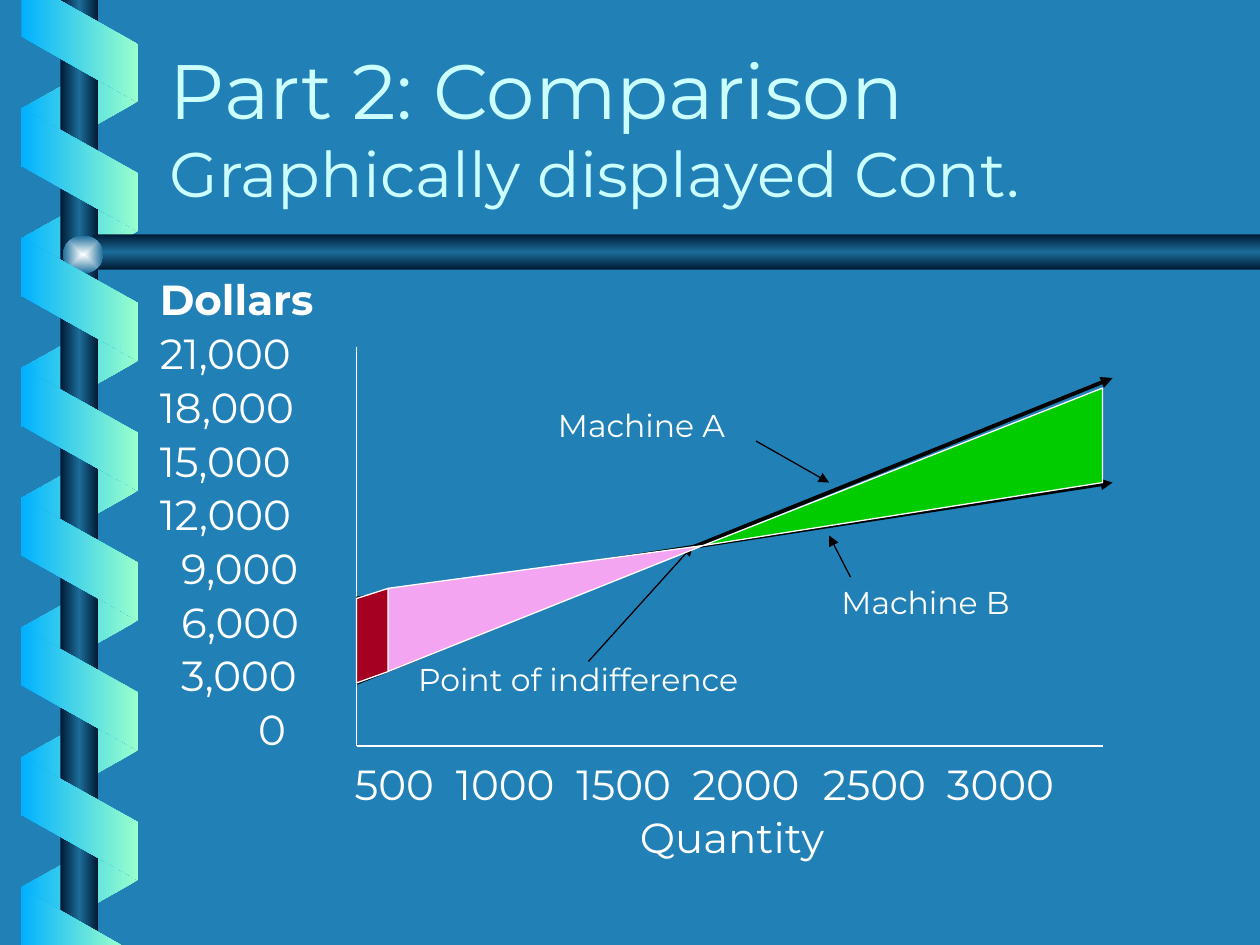
import pptx
import pptx.dml.color
import pptx.enum.shapes
import pptx.enum.text
import pptx.oxml
import pptx.oxml.ns
import pptx.util
from pptx.util import Inches

SHAPES = pptx.enum.shapes.MSO_SHAPE
ALIGN = pptx.enum.text.PP_ALIGN


class Theme:
    """Colours, font and type sizes of the slide."""
    font = "Montserrat"
    background, title, text, arrow = "2181B7", "CCFFFF", "FFFFFF", "000000"
    ribbon = [(0, "01B0FF"), (100, "99FFCC")]
    bar = [(0, "001932"), (50, "1C6D9A"), (100, "001932")]
    knob = [(0, "FEFFFF"), (100, "1C6D9A")]
    title_size, subtitle_size, body_size, label_size = 44, 36, 24, 18
    thin, thick = 0.75, 2.25


TITLE = ("Part 2: Comparison", "Graphically displayed Cont.")
# Text and left indent
DOLLAR_ROWS = [("Dollars", 0), ("21,000", 0), ("18,000", 0), ("15,000", 0),
               ("12,000", 0), ("9,000", 0.17), ("6,000", 0.17),
               ("3,000", 0.17), ("0", 0.78)]
# Text, centre and top
QUANTITY_LABELS = [("500", 3.13, 5.97), ("1000", 4.01, 5.97), ("1500", 4.95, 5.97),
                   ("2000", 5.92, 5.97), ("2500", 6.94, 5.97), ("3000", 7.94, 5.97),
                   ("Quantity", 5.81, 6.39)]
# Text, left, top and width
NOTES = [("Machine A", 4.33, 3.17, 2.25), ("Machine B", 6.58, 4.58, 2.25),
         ("Point of indifference", 3.22, 5.19, 3)]
AXES = [((2.83, 2.75), (2.83, 5.92)), ((2.83, 5.5), (2.83, 4.75)),
        ((2.83, 5.92), (8.75, 5.92))]
MACHINE_LINES = [((2.83, 5.42), (8.83, 3)), ((2.83, 4.75), (8.83, 3.83))]
POINTERS = [((6, 3.5), (6.58, 3.83)), ((6.75, 4.58), (6.58, 4.25)),
            ((4.67, 5.25), (5.5, 4.33))]
AREAS = [
    ("00CC00", [(5.58, 4.33), (8.75, 3.08), (8.75, 3.83)]),
    ("F3A5F1", [(3.08, 5.33), (3.08, 4.67), (5.58, 4.33)]),
    ("A50021", [(3.08, 4.67), (2.83, 4.75), (2.83, 5.42), (3.08, 5.33)]),
]
RIBBON_ENDS = [
    [(0.17, 0), (0.17, 0.29), (1.09, 0.81), (1.09, 0.35), (0.47, 0)],
    [(0.96, 7.5), (0.17, 7.05), (0.17, 7.5)],
]
RIBBON_STEP = 1.03


def color(value):
    """Return an RGB colour from its hex text."""
    return pptx.dml.color.RGBColor.from_string(value)


def element(xml):
    """Parse one DrawingML element."""
    return pptx.oxml.parse_xml(
        xml.replace(" ", f' {pptx.oxml.ns.nsdecls("a")} ', 1))


def fill_gradient(shape, stops, angle=0, centered=False):
    """Give a shape a borderless gradient fill."""
    shape.shadow.inherit = False
    shape.line.fill.background()
    shape.fill.background()
    stop_xml = "".join(f'<a:gs pos="{pos * 1000}"><a:srgbClr val="{value}"/></a:gs>'
                       for pos, value in stops)
    direction = f'<a:lin ang="{angle * 60000}" scaled="1"/>'
    if centered:
        direction = ('<a:path path="shape"><a:fillToRect l="50000" t="50000" '
                     'r="50000" b="50000"/></a:path>')
    gradient = element(f'<a:gradFill rotWithShape="0"><a:gsLst>{stop_xml}</a:gsLst>'
                       f'{direction}</a:gradFill>')
    properties = shape._element.spPr
    properties.replace(properties.find(pptx.oxml.ns.qn("a:noFill")), gradient)


def add_preset(kind, left, top, width, height, flip=False, adjustment=None):
    """Add a preset shape, optionally mirrored and adjusted."""
    shape = slide.shapes.add_shape(
        kind, Inches(left), Inches(top), Inches(width), Inches(height))
    if adjustment is not None:
        shape.adjustments[0] = adjustment
    if flip:
        shape._element.spPr.find(pptx.oxml.ns.qn("a:xfrm")).set("flipH", "1")
    return shape


def add_ribbon_bands(first_top, count, rotation, flip, stops):
    """Add one evenly spaced column of slanted ribbon bands."""
    for i in range(count):
        band = add_preset(SHAPES.PARALLELOGRAM, 0.14, first_top + RIBBON_STEP * i,
                          0.98, 0.93, flip, 0.56)
        band.rotation = rotation
        fill_gradient(band, stops)


def add_polygon(points):
    """Add a closed outline through the points."""
    corners = [(Inches(x), Inches(y)) for x, y in points]
    builder = slide.shapes.build_freeform(*corners[0], scale=1.0)
    builder.add_line_segments(corners[1:], close=True)
    shape = builder.convert_to_shape()
    shape.shadow.inherit = False
    return shape


def add_area(fill, points):
    """Add a flat chart area with a thin outline."""
    area = add_polygon(points)
    area.fill.solid()
    area.fill.fore_color.rgb = color(fill)
    area.line.color.rgb = color(Theme.text)
    area.line.width = pptx.util.Pt(Theme.thin)


def add_line(start, end, line_color, width, arrow=True):
    """Add a straight line, with an arrowhead at its end if wanted."""
    line = slide.shapes.add_connector(
        pptx.enum.shapes.MSO_CONNECTOR.STRAIGHT,
        *(Inches(value) for value in start + end))
    line.line.color.rgb = color(line_color)
    line.line.width = pptx.util.Pt(width)
    if arrow:
        line.line._get_or_add_ln().append(element('<a:tailEnd type="triangle"/>'))
    line._element.spPr.append(element("<a:effectLst />"))


def add_text_box(left, top, width, height):
    """Add a wrapping text box and return its frame."""
    frame = slide.shapes.add_textbox(
        Inches(left), Inches(top), Inches(width), Inches(height)).text_frame
    frame.word_wrap = True
    return frame


def style_run(run, size, run_color=Theme.text, bold=False):
    """Set the font of a run."""
    run.font.name = Theme.font
    run.font.size = pptx.util.Pt(size)
    run.font.bold = bold
    run.font.color.rgb = color(run_color)


def add_label(text, left, top, width, size, align=ALIGN.LEFT):
    """Add a one-line label."""
    frame = add_text_box(left, top, width, 0.4)
    frame.text = text
    frame.paragraphs[0].alignment = align
    style_run(frame.paragraphs[0].runs[0], size)


def add_title():
    """Add the two-line title."""
    frame = add_text_box(1.25, 0.29, 8.5, 1.43)
    frame.vertical_anchor = pptx.enum.text.MSO_ANCHOR.BOTTOM
    frame.text = "\v".join(TITLE)
    for run, size in zip(frame.paragraphs[0].runs,
                         (Theme.title_size, Theme.subtitle_size)):
        style_run(run, size, Theme.title)


def add_dollar_scale():
    """Add the dollar scale with its bold heading."""
    frame = add_text_box(1.17, 2.17, 1.6, 3.9)
    frame.text = "\n".join(text for text, _ in DOLLAR_ROWS)
    for i, (paragraph, (_, indent)) in enumerate(zip(frame.paragraphs, DOLLAR_ROWS)):
        style_run(paragraph.runs[0], Theme.body_size, bold=i == 0)
        paragraph.line_spacing = 0.9
        paragraph.space_before = pptx.util.Pt(4.8)
        paragraph._p.get_or_add_pPr().set("marL", str(Inches(indent)))


presentation = pptx.Presentation()
presentation.slide_width, presentation.slide_height = Inches(10), Inches(7.5)
slide = presentation.slides.add_slide(presentation.slide_layouts[6])
slide.background.fill.solid()
slide.background.fill.fore_color.rgb = color(Theme.background)

mirrored = [(0, Theme.ribbon[1][1]), (100, Theme.ribbon[0][1])]
add_ribbon_bands(0.37, 7, 90, True, mirrored)
fill_gradient(add_preset(SHAPES.RECTANGLE, 0.48, 0, 0.3, 7.5), Theme.bar)
fill_gradient(add_preset(SHAPES.PENTAGON, 0.6, 1.86, 9.4, 0.28, True, 0.59),
              Theme.bar, 90)
fill_gradient(add_preset(SHAPES.OVAL, 0.5, 1.87, 0.32, 0.3), Theme.knob, centered=True)
add_ribbon_bands(0.88, 6, 270, False, Theme.ribbon)
for outline in RIBBON_ENDS:
    fill_gradient(add_polygon(outline), Theme.ribbon)

add_title()
add_dollar_scale()
for text, center, top in QUANTITY_LABELS:
    add_label(text, center - 0.9, top, 1.8, Theme.body_size, ALIGN.CENTER)
for start, end in AXES:
    add_line(start, end, Theme.text, Theme.thin, arrow=False)
for start, end in MACHINE_LINES:
    add_line(start, end, Theme.arrow, Theme.thick)
for text, left, top, width in NOTES:
    add_label(text, left, top, width, Theme.label_size)
for start, end in POINTERS:
    add_line(start, end, Theme.arrow, Theme.thin)
for fill, points in AREAS:
    add_area(fill, points)

presentation.save("out.pptx")
